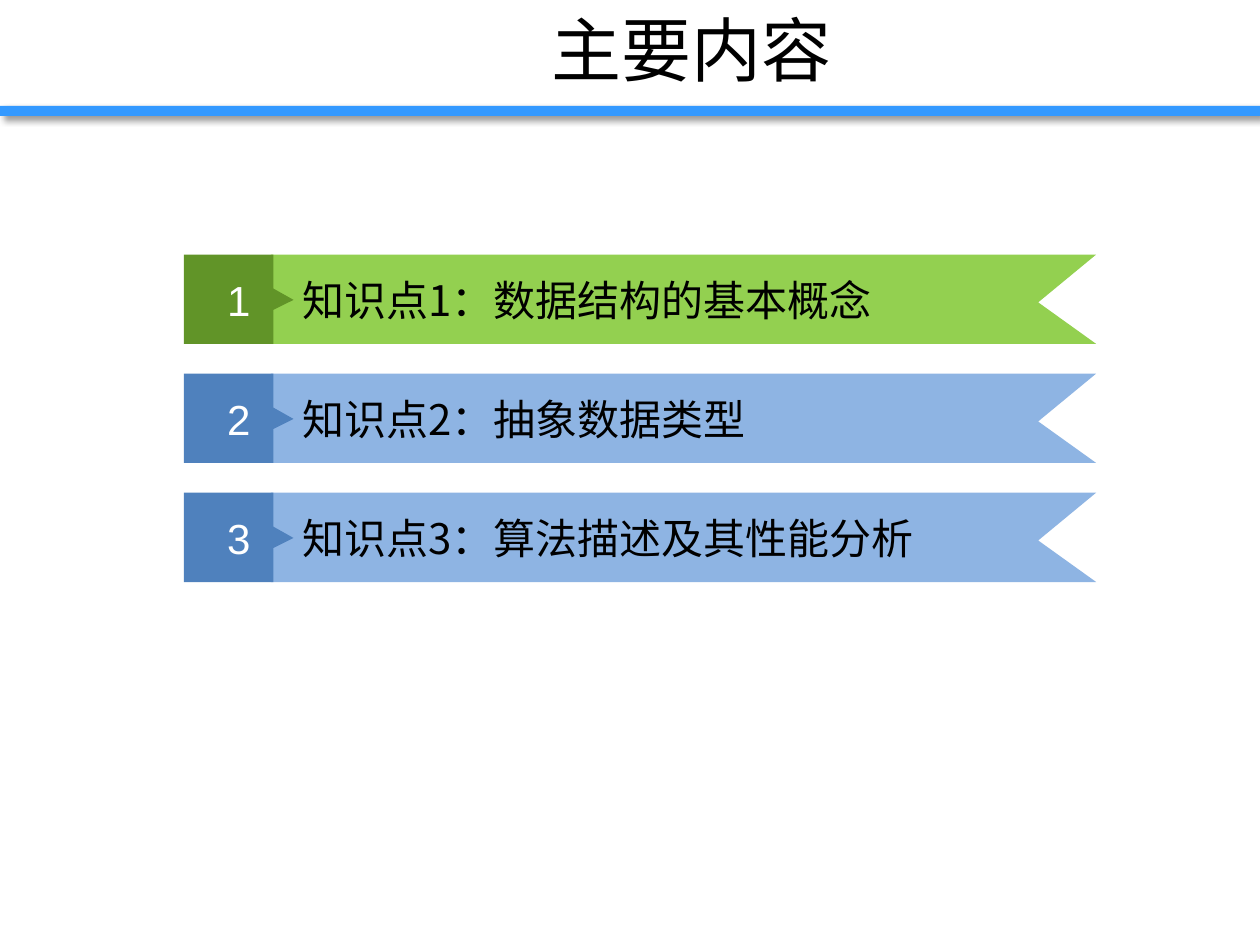
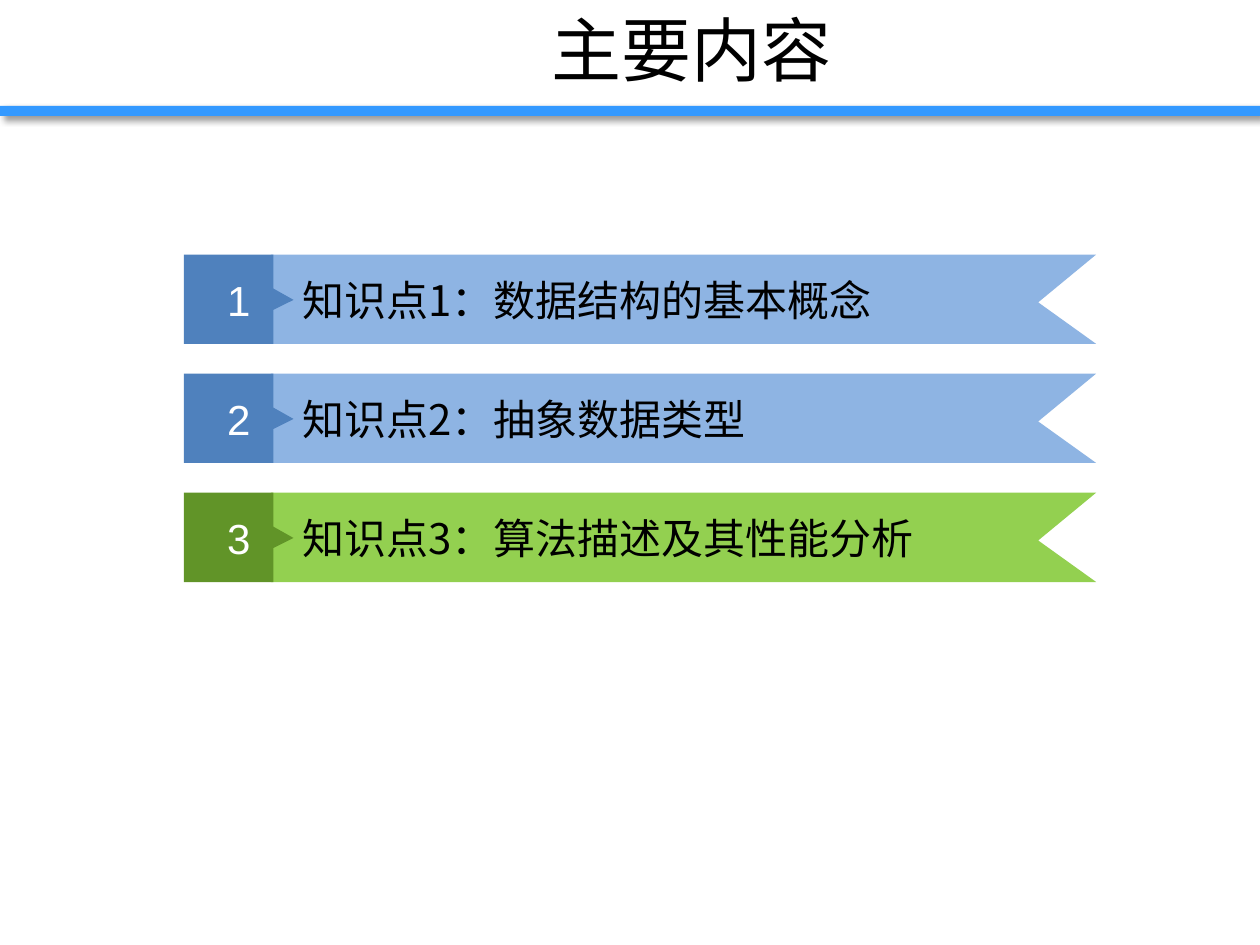
from lxml import etree
from pptx import Presentation
from pptx.dml.color import RGBColor
from pptx.enum import shapes, text
from pptx.oxml import ns
from pptx.util import Inches, Pt

TITLE = "主要内容"
TOPICS = [
    "知识点1：数据结构的基本概念",
    "知识点2：抽象数据类型",
    "知识点3：算法描述及其性能分析",
]
CURRENT_TOPICS = [1, 3]  # the topic highlighted on each slide

CJK_FONT, NUMBER_FONT = "Noto Sans CJK SC", "Arial"
BLACK, WHITE, RULE_BLUE = "000000", "FFFFFF", "3399FF"
NORMAL = {"ribbon": "8EB4E3", "tag": "4F81BD"}
HIGHLIGHT = {"ribbon": "93D050", "tag": "619428"}

TAG_LEFT, RIBBON_LEFT = 1.46, 2.15
FIRST_TOP, LAST_TOP = 2.02, 3.91
PITCH = (LAST_TOP - FIRST_TOP) / (len(TOPICS) - 1)
# Outlines relative to the top left corner of each part
RIBBON = [(0, 0), (6.55, 0), (6.09, 0.38), (6.55, 0.71), (0, 0.71)]
TAG = [(0, 0), (0.71, 0), (0.71, 0.27), (0.87, 0.36), (0.71, 0.44),
       (0.71, 0.71), (0, 0.71)]


def color(value):
    return RGBColor.from_string(value)


def paint(shape, fill):
    shape.shadow.inherit = False
    shape.fill.solid()
    shape.fill.fore_color.rgb = color(fill)
    shape.line.fill.background()


def write(shape, words, size, font, ink, align):
    frame = shape.text_frame
    frame.text = words
    frame.word_wrap = True
    frame.vertical_anchor = text.MSO_ANCHOR.MIDDLE
    para = frame.paragraphs[0]
    para.alignment = align
    span = para.runs[0]
    span.font.size = Pt(size)
    span.font.name = font
    span.font.color.rgb = color(ink)
    etree.SubElement(span.font._element, ns.qn("a:ea"), typeface=font)


def add_outline(page, left, top, points, fill):
    corners = [(Inches(left + x), Inches(top + y)) for x, y in points]
    builder = page.shapes.build_freeform(*corners[0])
    builder.add_line_segments(corners[1:], close=True)
    shape = builder.convert_to_shape()
    paint(shape, fill)
    return shape


def add_drop_shadow(shape):
    effects = shape._element.spPr.find(ns.qn("a:effectLst"))
    shadow = etree.SubElement(
        effects, ns.qn("a:outerShdw"), blurRad=str(Pt(4)), dist=str(Pt(3)),
        dir=str(45 * 60000), algn="tl", rotWithShape="0")
    tint = etree.SubElement(shadow, ns.qn("a:srgbClr"), val=BLACK)
    etree.SubElement(tint, ns.qn("a:alpha"), val="40000")


def add_header(page):
    rule = page.shapes.add_shape(
        shapes.MSO_SHAPE.RECTANGLE, 0, Inches(0.84), Inches(10), Inches(0.08))
    paint(rule, RULE_BLUE)
    add_drop_shadow(rule)
    title = page.shapes.add_textbox(
        Inches(0.98), 0, Inches(9.02), Inches(0.77))
    write(title, TITLE, 40, CJK_FONT, BLACK, text.PP_ALIGN.CENTER)


def add_topic(page, number, topic, scheme):
    top = FIRST_TOP + (number - 1) * PITCH
    ribbon = add_outline(page, RIBBON_LEFT, top, RIBBON, scheme["ribbon"])
    write(ribbon, topic, 24, CJK_FONT, BLACK, text.PP_ALIGN.LEFT)
    ribbon.text_frame.margin_left = Inches(0.25)
    tag = add_outline(page, TAG_LEFT, top, TAG, scheme["tag"])
    write(tag, str(number), 24, NUMBER_FONT, WHITE, text.PP_ALIGN.CENTER)


def main():
    deck = Presentation()
    deck.slide_width, deck.slide_height = Inches(10), Inches(7.5)
    for current in CURRENT_TOPICS:
        page = deck.slides.add_slide(deck.slide_layouts[6])
        add_header(page)
        for number, topic in enumerate(TOPICS, 1):
            add_topic(page, number, topic,
                      HIGHLIGHT if number == current else NORMAL)
    deck.save("out.pptx")


if __name__ == "__main__":
    main()
